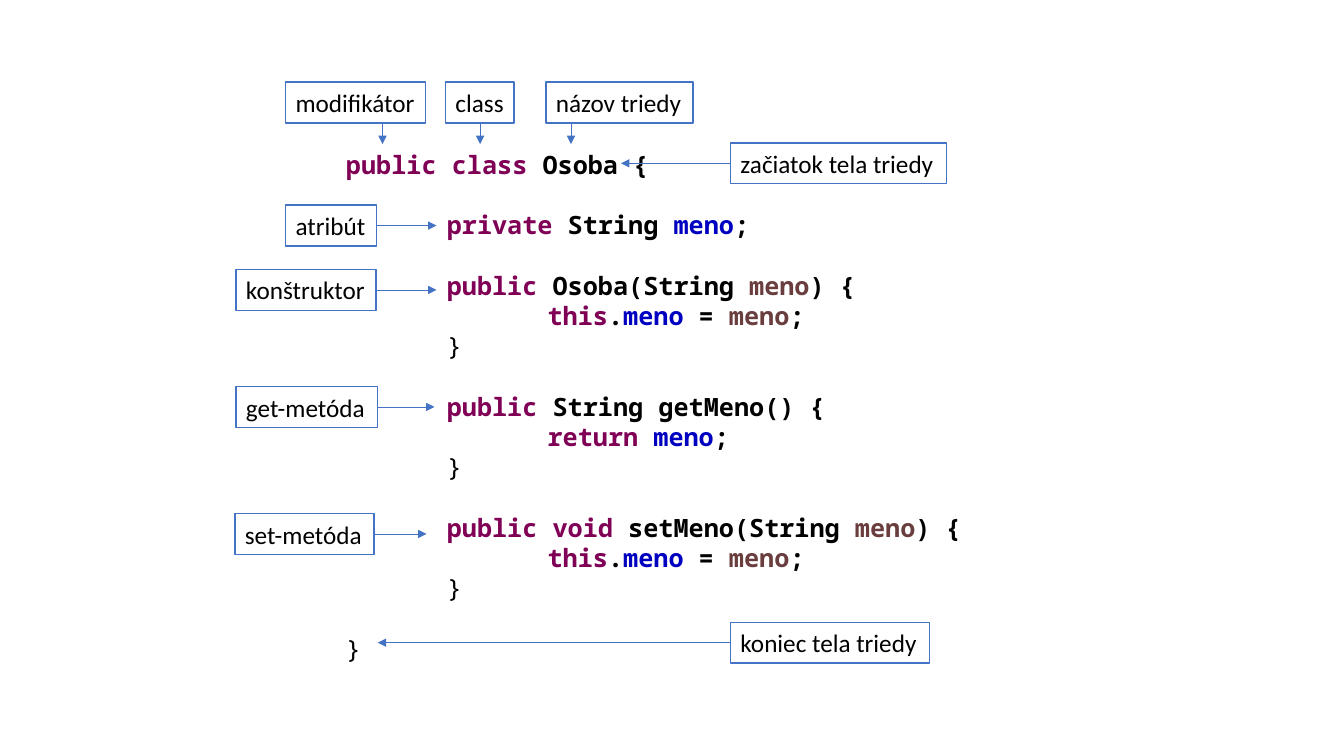
from dataclasses import dataclass

from lxml.etree import SubElement
from pptx import Presentation
from pptx.dml.color import RGBColor
from pptx.enum.shapes import MSO_CONNECTOR, MSO_SHAPE
from pptx.enum.text import MSO_ANCHOR, PP_ALIGN
from pptx.oxml.ns import qn
from pptx.util import Cm, Pt


@dataclass(frozen=True)
class Theme:
    keyword: str = "7F0055"
    field: str = "0000C0"
    parameter: str = "6A3E3E"
    plain: str = "000000"
    accent: str = "4472C4"
    paper: str = "FFFFFF"
    code_font: str = "Noto Sans Mono"
    label_font: str = "Calibri"
    size: float = 18
    code_line: float = 21.6


theme = Theme()


def add_span(para, text, font, color, bold=False):
    span = para.add_run()
    span.text = text
    span.font.name = font
    span.font.size = Pt(theme.size)
    span.font.bold = bold
    span.font.color.rgb = RGBColor.from_string(color)


def add_arrow(page, start, end):
    arrow = page.shapes.add_connector(
        MSO_CONNECTOR.STRAIGHT, *(Cm(length) for length in start + end))
    arrow.line.color.rgb = RGBColor.from_string(theme.accent)
    arrow.line.width = Pt(0.5)
    SubElement(arrow.line._get_or_add_ln(), qn("a:tailEnd"), type="triangle")
    SubElement(arrow._element.spPr, qn("a:effectLst"))


# Deck and page
deck = Presentation()
deck.slide_width, deck.slide_height = Cm(33.87), Cm(19.05)
page = deck.slides.add_slide(deck.slide_layouts[6])

# Java code in blocks of lines, each line in coloured spans
keyword, field, parameter, plain = (
    theme.keyword, theme.field, theme.parameter, theme.plain)
closing = [("\t}", plain)]
assignment = [("\t\tthis", keyword), (".", plain), ("meno", field),
              (" = ", plain), ("meno", parameter), (";", plain)]
blocks = [
    [[("public class", keyword), (" Osoba {", plain)]],
    [[("\tprivate ", keyword), ("String ", plain), ("meno", field), (";", plain)]],
    [[("\tpublic", keyword), (" Osoba(String ", plain), ("meno", parameter),
      (") {", plain)], assignment, closing],
    [[("\tpublic ", keyword), ("String getMeno() {", plain)],
     [("\t\treturn ", keyword), ("meno", field), (";", plain)], closing],
    [[("\tpublic void ", keyword), ("setMeno(String ", plain),
      ("meno", parameter), (") {", plain)], assignment, closing],
    [[("}", plain)]],
]
tab_width = 2.54
code_box = page.shapes.add_textbox(Cm(8.47), Cm(3.63), Cm(16.93), Cm(13.34))
code_frame = code_box.text_frame
code_frame.word_wrap = True
para = code_frame.paragraphs[0]
for block_index, block in enumerate(blocks):
    for line_index, line in enumerate(block):
        if block_index > 0:
            para = code_frame.add_paragraph()
            if line_index == 0:
                para.space_before = Pt(theme.code_line)
        para.line_spacing = Pt(theme.code_line)
        tab_list = SubElement(para._p.get_or_add_pPr(), qn("a:tabLst"))
        for level in (1, 2):
            SubElement(tab_list, qn("a:tab"), pos=str(Cm(level * tab_width)), algn="l")
        bold = line[0][0].strip() != "}"
        for text, color in line:
            add_span(para, text, theme.code_font, color, bold)

# Labels: text, left, top, width, side the arrow leaves from, arrow tip
label_height = 1.03
header_top, header_tip = 2.07, 3.63
labels = [
    ("modifikátor", 7.2, header_top, 3.53, "down", 9.64),
    ("class", 11.23, header_top, 1.73, "down", 12.1),
    ("názov triedy", 13.76, header_top, 3.71, "down", 14.39),
    ("atribút", 7.2, 5.17, 2.29, "right", 11),
    ("konštruktor", 5.95, 6.79, 3.53, "right", 11),
    ("get-metóda", 5.95, 9.74, 3.57, "right", 10.95),
    ("set-metóda", 5.92, 12.94, 3.51, "right", 10.75),
    ("začiatok tela triedy", 18.41, 3.6, 5.44, "left", 15.65),
    ("koniec tela triedy", 18.41, 15.68, 5.01, "left", 9.52),
]
for text, left, top, width, side, tip in labels:
    box = page.shapes.add_shape(
        MSO_SHAPE.RECTANGLE, Cm(left), Cm(top), Cm(width), Cm(label_height))
    box.shadow.inherit = False
    box.fill.solid()
    box.fill.fore_color.rgb = RGBColor.from_string(theme.paper)
    box.line.color.rgb = RGBColor.from_string(theme.accent)
    box.line.width = Pt(1)
    frame = box.text_frame
    frame.word_wrap = False
    frame.vertical_anchor = MSO_ANCHOR.MIDDLE
    para = frame.paragraphs[0]
    para.alignment = PP_ALIGN.LEFT
    add_span(para, text, theme.label_font, theme.plain)

    # Arrow from the label to its code
    middle = top + label_height / 2
    if side == "down":
        add_arrow(page, (tip, top + label_height), (tip, header_tip))
    else:
        edge = left + width if side == "right" else left
        add_arrow(page, (edge, middle), (tip, middle))

deck.save("out.pptx")
